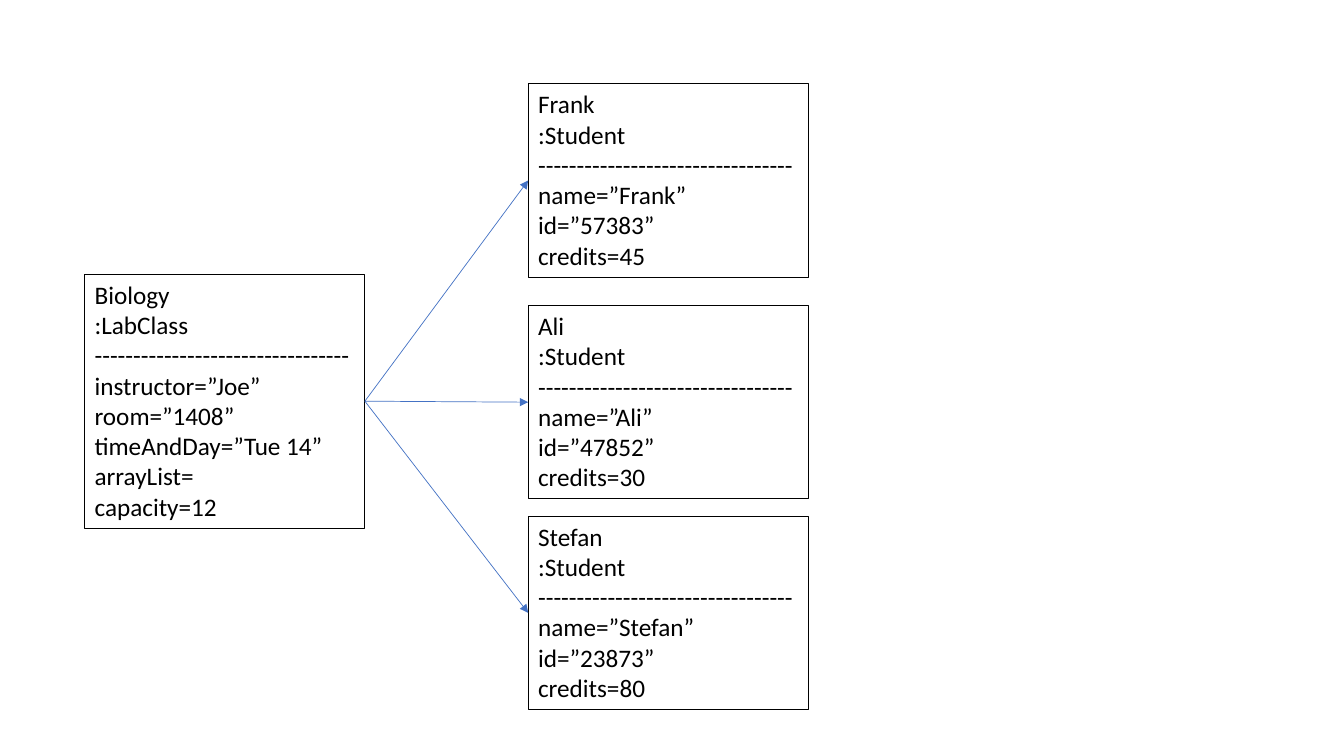
import pptx
import pptx.util
import pptx.dml.color
import pptx.enum.shapes
import pptx.enum.text
import pptx.oxml
import pptx.oxml.ns

COLOURS = {"text": "000000", "border": "000000", "arrow": "4472C4"}
FONT = "Calibri"
SLIDE_WIDTH = pptx.util.Inches(13.33)
SLIDE_HEIGHT = pptx.util.Inches(7.5)
DIVIDER = "-" * 33
BOX_WIDTH = 20.85
CLASS_LEFT, CLASS_TOP, CLASS_HEIGHT = 6.3, 36.27, 33.6
STUDENT_LEFT, STUDENT_HEIGHT = 39.3, 25.6
LEFT_SITE, RIGHT_SITE = 1, 3

LAB_CLASS_FIELDS = [
    "instructor=”Joe”",
    "room=”1408”",
    "timeAndDay=”Tue 14”",
    "arrayList=",
    "capacity=12",
]
STUDENTS = [
    ("Frank", "57383", 45, 11.07),
    ("Ali", "47852", 30, 40.4),
    ("Stefan", "23873", 80, 68.27),
]


def across(percent):
    return round(SLIDE_WIDTH * percent / 100)


def down(percent):
    return round(SLIDE_HEIGHT * percent / 100)


def colour(name):
    return pptx.dml.color.RGBColor.from_string(COLOURS[name])


def add_run(paragraph, text):
    run = paragraph.add_run()
    run.text = text
    run.font.name = FONT
    run.font.size = pptx.util.Pt(18)
    run.font.color.rgb = colour("text")


def add_object_box(slide, left, top, height, name, class_name, fields):
    shape = slide.shapes.add_shape(
        pptx.enum.shapes.MSO_SHAPE.RECTANGLE,
        across(left), down(top), across(BOX_WIDTH), down(height))
    shape.shadow.inherit = False
    shape.fill.background()
    shape.line.color.rgb = colour("border")
    shape.line.width = pptx.util.Pt(0.75)
    frame = shape.text_frame
    frame.word_wrap = True
    frame.auto_size = pptx.enum.text.MSO_AUTO_SIZE.SHAPE_TO_FIT_TEXT
    frame.vertical_anchor = pptx.enum.text.MSO_ANCHOR.TOP
    heading = frame.paragraphs[0]
    heading.alignment = pptx.enum.text.PP_ALIGN.LEFT
    add_run(heading, name)
    heading.add_line_break()
    add_run(heading, f":{class_name}")
    for text in [DIVIDER, *fields]:
        paragraph = frame.add_paragraph()
        paragraph.alignment = pptx.enum.text.PP_ALIGN.LEFT
        add_run(paragraph, text)
    return shape


def add_reference_arrow(slide, source, target):
    connector = slide.shapes.add_connector(
        pptx.enum.shapes.MSO_CONNECTOR.STRAIGHT, 0, 0, 0, 0)
    connector.begin_connect(source, RIGHT_SITE)
    connector.end_connect(target, LEFT_SITE)
    connector.line.color.rgb = colour("arrow")
    connector.line.width = pptx.util.Pt(0.5)
    properties = connector.element.spPr
    line = properties.find(pptx.oxml.ns.qn("a:ln"))
    namespace = pptx.oxml.ns.nsdecls("a")
    line.append(pptx.oxml.parse_xml(f'<a:tailEnd {namespace} type="triangle"/>'))
    properties.append(pptx.oxml.parse_xml(f"<a:effectLst {namespace}/>"))


def main():
    presentation = pptx.Presentation()
    presentation.slide_width = SLIDE_WIDTH
    presentation.slide_height = SLIDE_HEIGHT
    slide = presentation.slides.add_slide(presentation.slide_layouts[6])

    lab_class = add_object_box(
        slide, CLASS_LEFT, CLASS_TOP, CLASS_HEIGHT,
        "Biology", "LabClass", LAB_CLASS_FIELDS)
    student_boxes = []
    for name, identifier, credits, top in STUDENTS:
        fields = [f"name=”{name}”", f"id=”{identifier}”", f"credits={credits}"]
        student_boxes.append(add_object_box(
            slide, STUDENT_LEFT, top, STUDENT_HEIGHT, name, "Student", fields))
    for student_box in student_boxes:
        add_reference_arrow(slide, lab_class, student_box)

    presentation.save("out.pptx")


if __name__ == "__main__":
    main()
